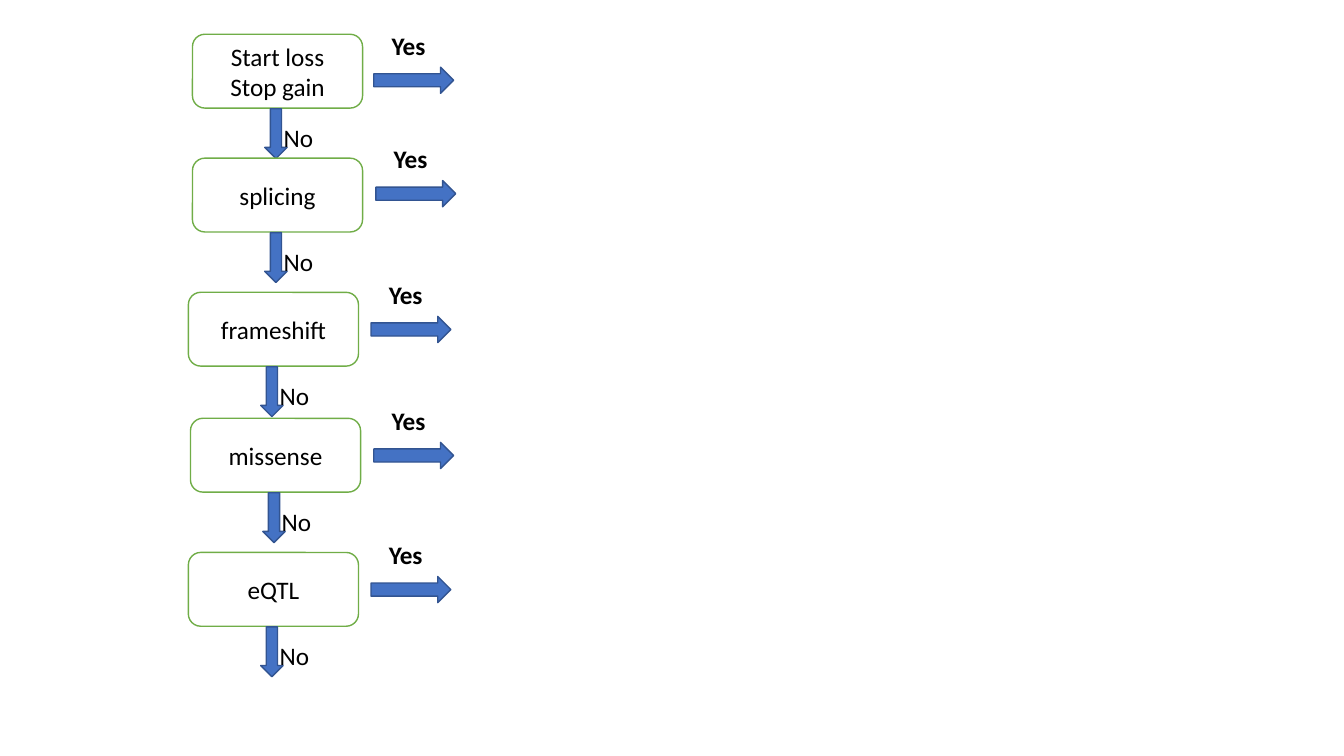
"""Build a slide with a variant classification cascade of yes/no steps."""
from dataclasses import dataclass

from pptx import Presentation
from pptx.dml.color import RGBColor
from pptx.enum.shapes import MSO_SHAPE
from pptx.enum.text import MSO_ANCHOR, MSO_AUTO_SIZE, PP_ALIGN
from pptx.util import Pt

ROUNDED = MSO_SHAPE.ROUNDED_RECTANGLE
ARROW = MSO_SHAPE.RIGHT_ARROW
MIDDLE = MSO_ANCHOR.MIDDLE
GROW = MSO_AUTO_SIZE.SHAPE_TO_FIT_TEXT
LEFT, CENTER = PP_ALIGN.LEFT, PP_ALIGN.CENTER

WHITE = RGBColor(0xFF, 0xFF, 0xFF)
BLACK = RGBColor(0x00, 0x00, 0x00)
GREEN = RGBColor(0x70, 0xAD, 0x47)
BLUE = RGBColor(0x44, 0x72, 0xC4)
DARK_BLUE = RGBColor(0x32, 0x54, 0x91)


@dataclass(frozen=True)
class Step:
    """A test in the cascade, with the places of its box and its Yes arrow."""

    lines: tuple[str, ...]
    left: float
    top: float
    yes_left: float
    yes_top: float


STEPS = (
    Step(("Start loss", "Stop gain"), 137.5, 24.5, 267, 48),
    Step(("splicing",), 137.5, 113, 268.5, 129),
    Step(("frameshift",), 134.6, 208.8, 265, 226),
    Step(("missense",), 136.1, 298.8, 267, 316),
    Step(("eQTL",), 134.6, 394.6, 265, 411.8),
)


def write_text(frame, lines: tuple[str, ...], *, bold: bool = False, align=LEFT) -> None:
    """Write one paragraph for each line."""
    for index, line in enumerate(lines):
        para = frame.paragraphs[0] if index == 0 else frame.add_paragraph()
        para.alignment = align
        span = para.add_run()
        span.text = line
        span.font.name = "Calibri"
        span.font.size = Pt(18)
        span.font.bold = bold
        span.font.color.rgb = BLACK


def add_figure(page, kind, left: float, top: float, width: float, height: float,
               *, fill: RGBColor, line: RGBColor, rotation: float = 0):
    """Add a filled and outlined preset shape without shadow."""
    figure = page.shapes.add_shape(kind, Pt(left), Pt(top), Pt(width), Pt(height))
    figure.shadow.inherit = False
    figure.fill.solid()
    figure.fill.fore_color.rgb = fill
    figure.line.color.rgb = line
    figure.line.width = Pt(1)
    figure.rotation = rotation
    return figure


def add_label(page, text: str, left: float, top: float, width: float,
              *, bold: bool = False) -> None:
    """Add the answer label beside an arrow."""
    box = page.shapes.add_textbox(Pt(left), Pt(top), Pt(width), Pt(29))
    box.text_frame.word_wrap = False
    box.text_frame.auto_size = GROW
    write_text(box.text_frame, (text,), bold=bold)


def add_step(page, step: Step) -> None:
    """Draw a test box with its No arrow below and its Yes arrow to the right."""
    box = add_figure(page, ROUNDED, step.left, step.top, 121.5, 52.7, fill=WHITE, line=GREEN)
    box.text_frame.word_wrap = True
    box.text_frame.vertical_anchor = MIDDLE
    write_text(box.text_frame, step.lines, align=CENTER)
    add_figure(page, ARROW, step.left + 41.8, step.top + 63, 35.6, 16,
               fill=BLUE, line=DARK_BLUE, rotation=90)
    add_label(page, "No", step.left + 58, step.top + 59.4, 36)
    add_figure(page, ARROW, step.yes_left, step.yes_top, 57, 18.7, fill=BLUE, line=DARK_BLUE)
    add_label(page, "Yes", step.yes_left + 5.6, step.yes_top - 30.2, 46.8, bold=True)


def main() -> None:
    """Build and save the deck."""
    deck = Presentation()
    deck.slide_width, deck.slide_height = Pt(960), Pt(540)
    page = deck.slides.add_slide(deck.slide_layouts[6])
    for step in STEPS:
        add_step(page, step)
    deck.save("out.pptx")


main()
